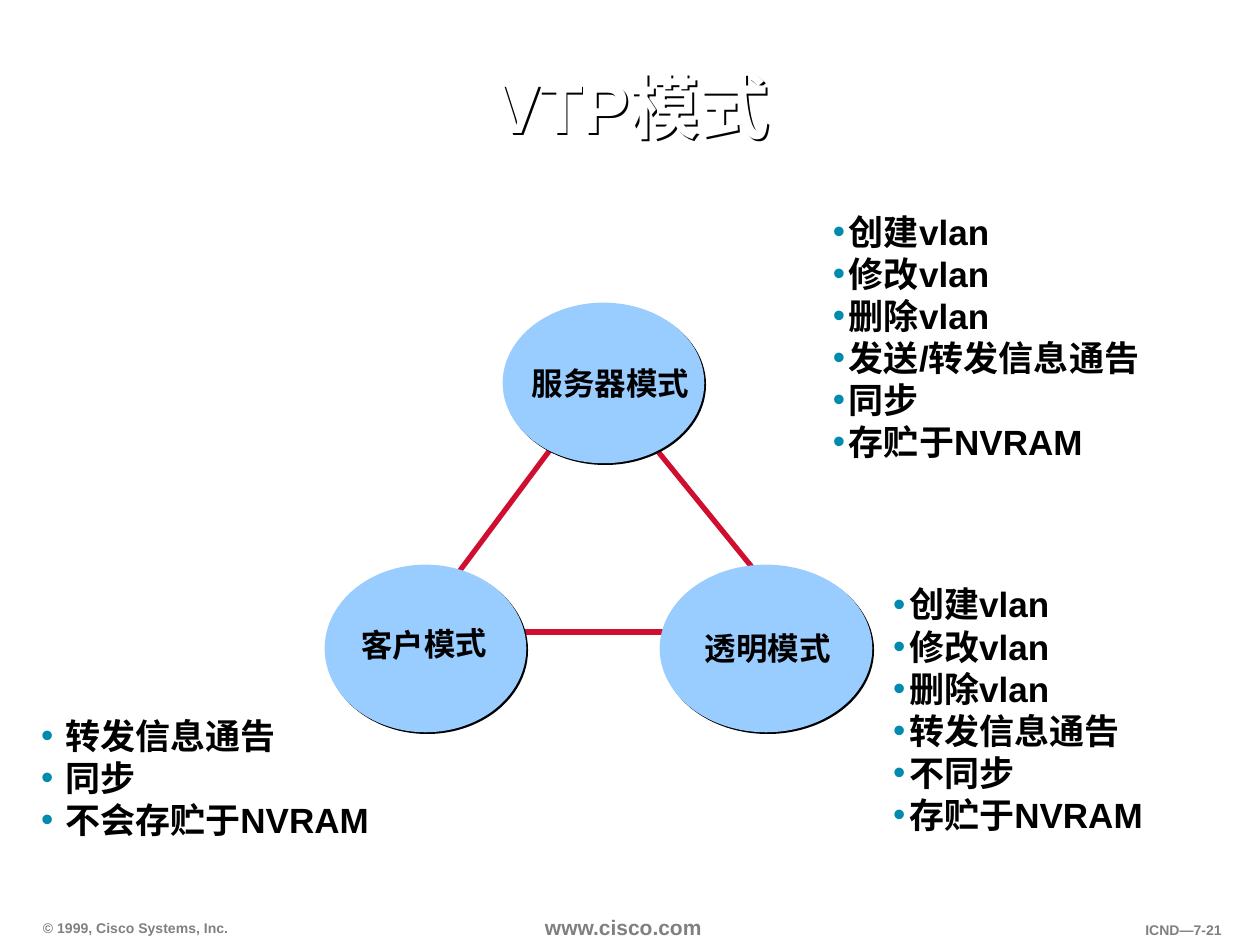
from lxml import etree
from pptx import Presentation
from pptx.dml.color import RGBColor
from pptx.enum.shapes import MSO_CONNECTOR, MSO_SHAPE
from pptx.enum.text import MSO_ANCHOR, MSO_AUTO_SIZE, PP_ALIGN
from pptx.oxml.ns import qn
from pptx.util import Emu, Pt

LEFT, CENTER, RIGHT = PP_ALIGN.LEFT, PP_ALIGN.CENTER, PP_ALIGN.RIGHT
TOP, MIDDLE, BOTTOM = MSO_ANCHOR.TOP, MSO_ANCHOR.MIDDLE, MSO_ANCHOR.BOTTOM
GROW, FIXED = MSO_AUTO_SIZE.SHAPE_TO_FIT_TEXT, MSO_AUTO_SIZE.NONE
STRAIGHT, ELLIPSE = MSO_CONNECTOR.STRAIGHT, MSO_SHAPE.OVAL

PX = 914400 / 126
FONT = "Arial"
COLORS = {
    "text": "000000",
    "footer": "808080",
    "title": "FFFFFF",
    "node": "99CCFF",
    "link": "CF0E30",
    "bullet": "008AAE",
    "shadow": "000000",
}

TITLE = ("VTP模式", (106, 32, 1051, 158))

# text, box, size, alignment, anchor, wrap
FOOTERS = [
    ("© 1999, Cisco Systems, Inc.", (32, 913, 212, 28), 8, LEFT, BOTTOM, False),
    ("www.cisco.com", (534, 910, 189, 35), 12, LEFT, TOP, True),
    ("ICND—7-21", (1082, 917, 151, 28), 8, RIGHT, TOP, False),
]

# start, end
LINKS = [
    ((481, 632), (727, 632)),
    ((435, 604), (588, 399)),
    ((773, 593), (634, 422)),
]

# ellipse, label, label box, label rotation, label insets
MODES = [
    ((504, 304, 199, 158), "服务器模式", (518, 356, 186, 52), 0.2, (14, 8)),
    ((326, 566, 199, 165), "客户模式", (347, 617, 155, 52), 358.8, (14, 8)),
    ((661, 566, 210, 165), "透明模式", (694, 624, 149, 49), 0, (11, 5)),
]

# items, box, indent
FEATURES = [
    (["转发信息通告", "同步", "不会存贮于NVRAM"], (30, 709, 525, 137), 24),
    (["创建vlan", "修改vlan", "删除vlan", "发送/转发信息通告", "同步", "存贮于NVRAM"],
     (822, 205, 340, 305), 16),
    (["创建vlan", "修改vlan", "删除vlan", "转发信息通告", "不同步", "存贮于NVRAM"],
     (882, 578, 347, 305), 16),
]


def px(value):
    return Emu(round(value * PX))


def rgb(name):
    return RGBColor.from_string(COLORS[name])


def add_shadow(shape):
    """Give a shape a hard shadow, down and to the right."""
    shape.shadow.inherit = False
    effects = shape._element.spPr.find(qn("a:effectLst"))
    shadow = etree.SubElement(effects, qn("a:outerShdw"), dist="17961", dir="2700000",
                              algn="ctr", rotWithShape="0")
    etree.SubElement(shadow, qn("a:srgbClr"), val=COLORS["shadow"])


def add_bullet(para, indent):
    properties = para._p.get_or_add_pPr()
    properties.set("marL", str(px(indent)))
    properties.set("indent", str(-px(indent)))
    color = etree.SubElement(properties, qn("a:buClr"))
    etree.SubElement(color, qn("a:srgbClr"), val=COLORS["bullet"])
    etree.SubElement(properties, qn("a:buFont"), typeface=FONT)
    etree.SubElement(properties, qn("a:buChar"), char="•")


def add_text(slide, lines, place, size, color="text", align=LEFT, anchor=TOP,
             wrap=True, insets=(11, 5), indent=0, auto_size=GROW):
    box = slide.shapes.add_textbox(*map(px, place))
    frame = box.text_frame
    frame.word_wrap = wrap
    frame.auto_size = auto_size
    frame.vertical_anchor = anchor
    frame.margin_left = frame.margin_right = px(insets[0])
    frame.margin_top = frame.margin_bottom = px(insets[1])
    for index, line in enumerate(lines):
        para = frame.add_paragraph() if index else frame.paragraphs[0]
        para.alignment = align
        if indent:
            add_bullet(para, indent)
        span = para.add_run()
        span.text = line
        span.font.name = FONT
        span.font.size = Pt(size)
        span.font.bold = True
        span.font.color.rgb = rgb(color)
    return box


def add_link(slide, start, end):
    link = slide.shapes.add_connector(STRAIGHT, *map(px, start + end))
    link.line.color.rgb = rgb("link")
    link.line.width = Pt(3)
    etree.SubElement(link._element.spPr, qn("a:effectLst"))


def add_node(slide, place):
    node = slide.shapes.add_shape(ELLIPSE, *map(px, place))
    node.fill.solid()
    node.fill.fore_color.rgb = rgb("node")
    node.line.color.rgb = rgb("node")
    node.line.width = Pt(1.5)
    add_shadow(node)


def main():
    deck = Presentation()
    deck.slide_width, deck.slide_height = px(1260), px(945)
    slide = deck.slides.add_slide(deck.slide_layouts[6])

    for text, place, size, align, anchor, wrap in FOOTERS:
        add_text(slide, [text], place, size, "footer", align, anchor, wrap)

    text, place = TITLE
    title = add_text(slide, [text], place, 40, "title", CENTER, MIDDLE,
                     insets=(10, 5), auto_size=FIXED)
    title.text_frame.paragraphs[0].line_spacing = 0.9
    add_shadow(title)

    for start, end in LINKS:
        add_link(slide, start, end)
    for ellipse, label, place, rotation, insets in MODES:
        add_node(slide, ellipse)
        box = add_text(slide, [label], place, 18, wrap=False, insets=insets)
        box.rotation = rotation
    for items, place, indent in FEATURES:
        add_text(slide, items, place, 20, indent=indent)

    deck.save("out.pptx")


if __name__ == "__main__":
    main()
